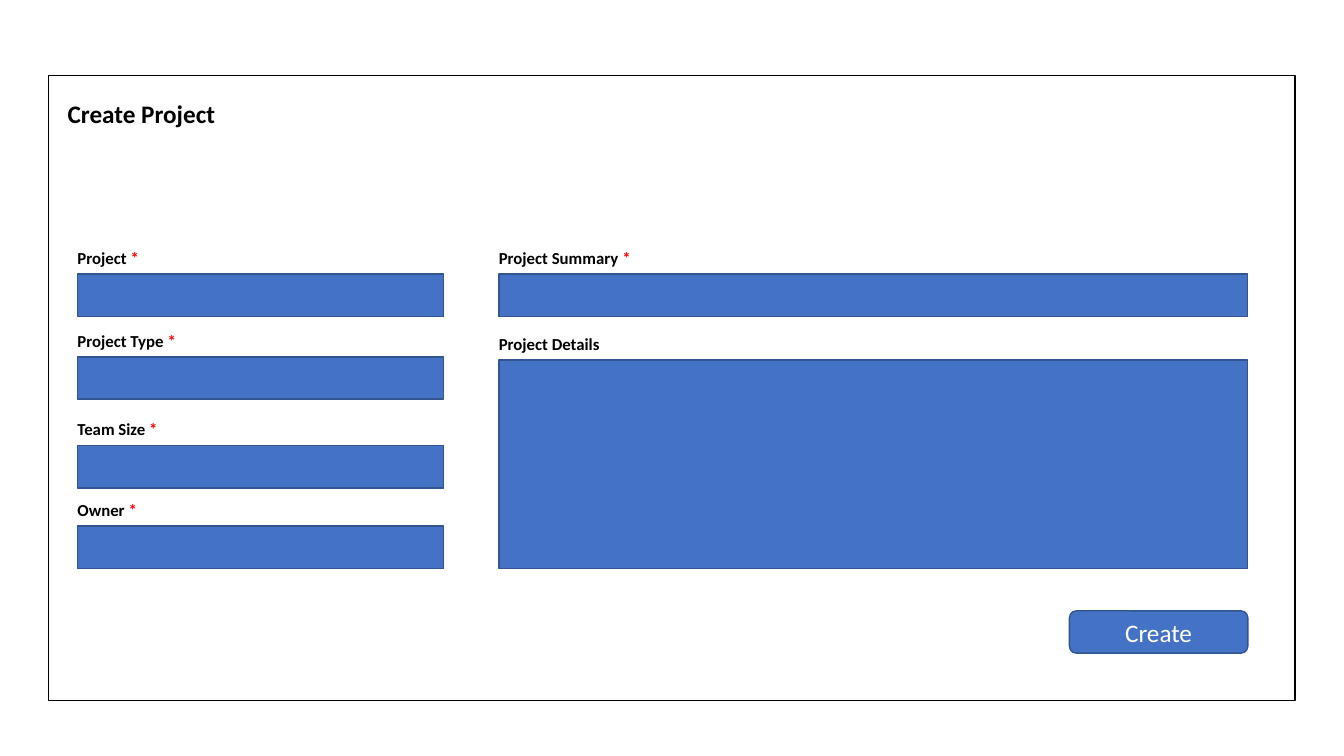
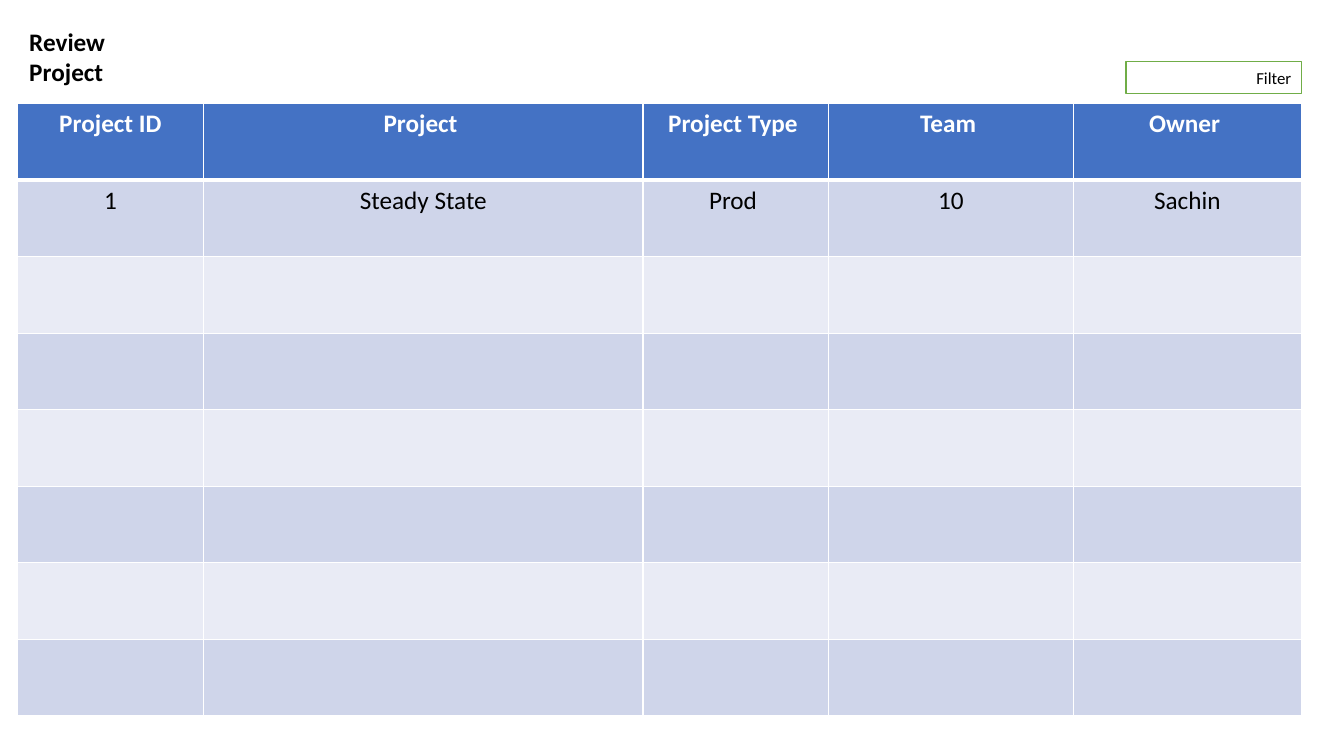
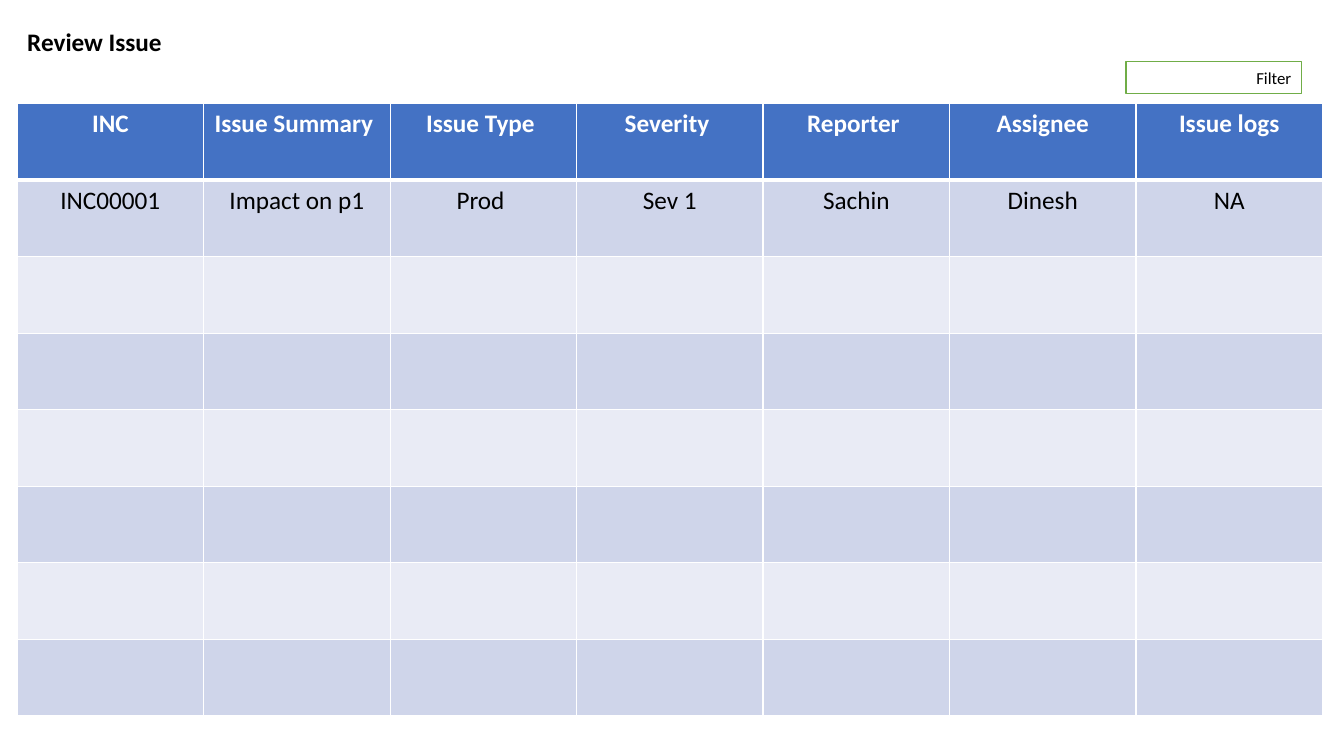
from lxml.etree import SubElement
from pptx import Presentation
from pptx.dml.color import RGBColor
from pptx.enum.shapes import MSO_SHAPE as Preset
from pptx.enum.text import MSO_ANCHOR as Anchor, MSO_AUTO_SIZE as AutoSize, PP_ALIGN as Align
from pptx.oxml.ns import qn
from pptx.util import Emu, Pt

PX = 9144
FONT = "Calibri"
WHITE = RGBColor(0xFF, 0xFF, 0xFF)
BLACK = RGBColor(0x00, 0x00, 0x00)
RED = RGBColor(0xFF, 0x00, 0x00)
GREEN = RGBColor(0x70, 0xAD, 0x47)
BLUE = RGBColor(0x44, 0x72, 0xC4)
DARK_BLUE = RGBColor(0x32, 0x54, 0x91)
BAND_DARK = RGBColor(0xCF, 0xD5, 0xEA)
BAND_LIGHT = RGBColor(0xE9, 0xEB, 0xF5)


def add_box(slide, preset, box, fill, line):
    shape = slide.shapes.add_shape(preset, *[Emu(length * PX) for length in box])
    shape.shadow.inherit = False
    shape.fill.solid()
    shape.fill.fore_color.rgb = fill
    shape.line.color.rgb = line
    shape.line.width = Pt(1)
    shape.text_frame.vertical_anchor = Anchor.MIDDLE
    return shape


def format_text(paragraph, size, color, bold=False, align=Align.LEFT):
    paragraph.alignment = align
    for run in paragraph.runs:
        run.font.name = FONT
        run.font.size = Pt(size)
        run.font.bold = bold
        run.font.color.rgb = color


presentation = Presentation()
presentation.slide_width = Emu(12192000)
presentation.slide_height = Emu(750 * PX)
title_only = presentation.slide_layouts[5]

form_slide = presentation.slides.add_slide(title_only)
add_box(form_slide, Preset.RECTANGLE, (48, 75, 1237, 620), WHITE, BLACK)

LABEL_RISE = 31
LABEL_INDENT = 10
fields = [
    ("Project ", True, (77, 272, 363, 42)),
    ("Project Type ", True, (77, 354, 363, 42)),
    ("Team Size ", True, (77, 442, 363, 42)),
    ("Owner ", True, (77, 522, 363, 42)),
    ("Project Summary ", True, (495, 272, 743, 42)),
    ("Project Details", False, (495, 357, 743, 207)),
]
for label, required, field in fields:
    add_box(form_slide, Preset.RECTANGLE, field, BLUE, DARK_BLUE)
    left, top = field[:2]
    label_box = (left - LABEL_INDENT, top - LABEL_RISE, 244, 30)
    text_box = form_slide.shapes.add_textbox(*[Emu(length * PX) for length in label_box])
    text_box.text_frame.word_wrap = True
    paragraph = text_box.text_frame.paragraphs[0]
    paragraph.text = label
    if required:
        paragraph.add_run().text = "*"
    format_text(paragraph, 12, BLACK, bold=True)
    if required:
        paragraph.runs[1].font.color.rgb = RED

button = add_box(form_slide, Preset.ROUNDED_RECTANGLE, (1061, 606, 177, 42), BLUE, DARK_BLUE)
button.text_frame.text = "Create"
format_text(button.text_frame.paragraphs[0], 18, WHITE, align=Align.CENTER)

ROW_COUNT = 8
TABLE_HEIGHT = 607
reviews = [
    (
        [185, 436, 184, 243, 226],
        ["Project ID", "Project ", "Project Type ", "Team ", "Owner "],
        ["1", "Steady State", "Prod ", "10", "Sachin"],
    ),
    (
        [185] * 7,
        ["INC", "Issue Summary ", "Issue Type ", "Severity ", "Reporter ", "Assignee", "Issue logs"],
        ["INC00001", "Impact on p1", "Prod ", "Sev 1", "Sachin", "Dinesh", "NA"],
    ),
]
for widths, header, entry in reviews:
    slide = presentation.slides.add_slide(title_only)
    table_box = (17, 103, sum(widths), TABLE_HEIGHT)
    table = slide.shapes.add_table(
        ROW_COUNT, len(widths), *[Emu(length * PX) for length in table_box]
    ).table
    for column, width in zip(table.columns, widths):
        column.width = Emu(width * PX)
    for row_index, row in enumerate(table.rows):
        row.height = Emu(TABLE_HEIGHT * PX // ROW_COUNT)
        is_header = row_index == 0
        texts = [header, entry][row_index] if row_index < 2 else [""] * len(widths)
        band = BLUE if is_header else BAND_DARK if row_index % 2 else BAND_LIGHT
        top_width = 3 if row_index == 1 else 1
        bottom_width = 3 if is_header else 1
        borders = {"a:lnL": 1, "a:lnR": 1, "a:lnT": top_width, "a:lnB": bottom_width}
        for cell, text in zip(row.cells, texts):
            properties = cell._tc.get_or_add_tcPr()
            for side, width in borders.items():
                border = SubElement(properties, qn(side), w=str(Pt(width)))
                border_fill = SubElement(border, qn("a:solidFill"))
                SubElement(border_fill, qn("a:srgbClr"), val=str(WHITE))
            cell.fill.solid()
            cell.fill.fore_color.rgb = band
            if text:
                cell.text_frame.text = text
                text_color = WHITE if is_header else BLACK
                format_text(cell.text_frame.paragraphs[0], 18, text_color, is_header, Align.CENTER)

    filter_box = add_box(slide, Preset.RECTANGLE, (1117, 61, 174, 32), WHITE, GREEN)
    filter_box.text_frame.text = "Filter"
    format_text(filter_box.text_frame.paragraphs[0], 12, BLACK, align=Align.RIGHT)

titles = [
    ("Create Project", (57, 93, 193, 40)),
    ("Review Project", (19, 21, 174, 40)),
    ("Review Issue", (17, 21, 174, 40)),
]
for slide, (text, box) in zip(presentation.slides, titles):
    title = slide.shapes.title
    title.left, title.top, title.width, title.height = [Emu(length * PX) for length in box]
    title.text_frame.text = text
    title.text_frame.word_wrap = True
    title.text_frame.auto_size = AutoSize.NONE
    title.text_frame.vertical_anchor = Anchor.TOP
    format_text(title.text_frame.paragraphs[0], 18, BLACK, bold=True)
    title.element.getparent().append(title.element)

presentation.save("out.pptx")
